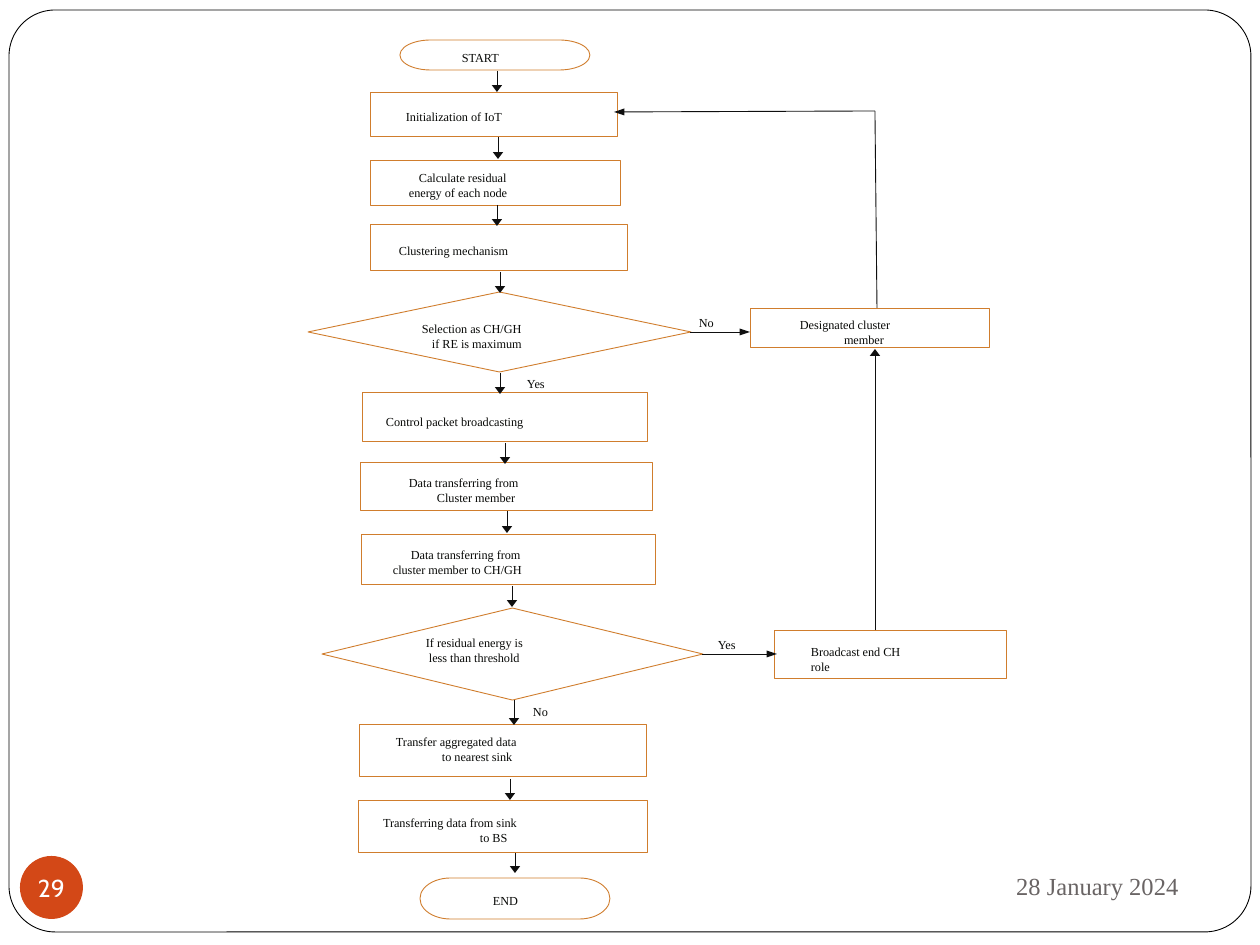
from lxml.etree import SubElement
from pptx import Presentation
from pptx.dml.color import RGBColor
from pptx.enum.shapes import MSO_CONNECTOR, MSO_SHAPE
from pptx.enum.text import MSO_ANCHOR, PP_ALIGN
from pptx.oxml.ns import qn
from pptx.util import Pt

PX = 914400 / 126
ROW = 15
SERIF = "Times New Roman"
HUES = {"page": "FFFFFF", "frame": "000000", "edge": "D07D2D", "link": "0F0F0F",
        "ink": "080907", "badge": "D34817", "date": "696464"}

PILL = MSO_SHAPE.FLOWCHART_TERMINATOR
RECT = MSO_SHAPE.RECTANGLE
GEM = MSO_SHAPE.DIAMOND

MAIN = [
    (PILL, (92, 0, 190, 30), 9, [(62, "START")]),
    (RECT, (62, 52, 247, 44), 16, [(36, "Initialization of IoT")]),
    (RECT, (62, 120, 251, 46), 9,
     [(49, "Calculate residual"), (39, "energy of each node")]),
    (RECT, (62, 184, 257, 46), 18, [(29, "Clustering mechanism")]),
    (GEM, (0, 252, 383, 80), 28,
     [(114, "Selection as CH/GH"), (124, "if RE is maximum")]),
    (RECT, (54, 353, 286, 49), 20, [(24, "Control packet broadcasting")]),
    (RECT, (53, 423, 292, 48), 11,
     [(48, "Data transferring from"), (76, "Cluster member")]),
    (RECT, (53, 494, 295, 51), 12,
     [(50, "Data transferring from"), (32, "cluster member to CH/GH")]),
    (GEM, (14, 568, 381, 92), 26,
     [(104, "If residual energy is"), (107, "less than threshold")]),
    (RECT, (51, 684, 288, 53), 9,
     [(37, "Transfer aggregated data"), (83, "to nearest sink")]),
    (RECT, (50, 760, 290, 53), 14,
     [(25, "Transferring data from sink"), (122, "to BS")]),
    (PILL, (112, 838, 190, 41), 14, [(73, "END")]),
]
DROPS = [(189, 31, 52), (190, 97, 119), (189, 165, 186), (192, 232, 253),
         (192, 333, 354), (197, 403, 424), (199, 471, 493), (204, 546, 567),
         (206, 660, 685), (202, 739, 760), (207, 813, 833)]

SIDE = [
    (RECT, (136, 197, 240, 40), 8, [(50, "Designated cluster"), (94, "member")]),
    (RECT, (160, 519, 232, 49), 13, [(37, "Broadcast end CH"), (37, "role")]),
]
TURNS = [((76, 221, 136, 221), True), ((88, 543, 163, 543), True),
         ((261, 519, 261, 238), True), ((263, 197, 261, 0), False),
         ((261, 0, 0, 1), True)]


def emu(*sizes):
    return [round(size * PX) for size in sizes]


def hue(name):
    return RGBColor.from_string(HUES[name])


def style(frame, size, face, tint):
    for run in frame.paragraphs[0].runs:
        run.font.size = Pt(size)
        run.font.name = face
        run.font.color.rgb = hue(tint)


def strip(frame):
    frame.margin_left = frame.margin_right = 0
    frame.margin_top = frame.margin_bottom = 0


def shape(slide, kind, box, fill=None, edge=None):
    item = slide.shapes.add_shape(kind, *emu(*box))
    item.shadow.inherit = False
    if fill:
        item.fill.solid()
        item.fill.fore_color.rgb = hue(fill)
    else:
        item.fill.background()
    if edge:
        item.line.color.rgb = hue(edge)
        item.line.width = Pt(0.5)
    else:
        item.line.fill.background()
    return item


def label(slide, left, top, text):
    item = slide.shapes.add_textbox(*emu(left, top, 12 * len(text), 16))
    frame = item.text_frame
    frame.word_wrap = True
    strip(frame)
    frame.text = text
    para = frame.paragraphs[0]
    para.line_spacing = 1.07
    para.space_after = Pt(8)
    style(frame, 7, SERIF, "ink")


def link(slide, left, top, ends, head=True):
    x1, y1, x2, y2 = ends
    item = slide.shapes.add_connector(
        MSO_CONNECTOR.STRAIGHT, *emu(left + x1, top + y1, left + x2, top + y2))
    item.line.color.rgb = hue("link")
    item.line.width = Pt(0.5)
    props = item._element.spPr
    if head:
        flat = abs(x2 - x1) > abs(y2 - y1)
        SubElement(props.find(qn("a:ln")), qn("a:tailEnd"), type="triangle",
                   w="sm" if flat else "med", len="med" if flat else "sm")
    SubElement(props, qn("a:effectLst"))


def steps(slide, left, top, items):
    for kind, (x, y, wide, high), drop, lines in items:
        shape(slide, kind, (left + x, top + y, wide, high), edge="edge")
        for row, (inset, text) in enumerate(lines):
            label(slide, left + x + inset, top + y + drop + row * ROW, text)


def main_flow(slide, left, top):
    steps(slide, left, top, MAIN)
    for x, start, end in DROPS:
        link(slide, left, top, (x, start, x, end))
    label(slide, left + 219, top + 335, "Yes")
    label(slide, left + 225, top + 663, "No")


def side_flow(slide, left, top):
    steps(slide, left, top, SIDE)
    for ends, head in TURNS:
        link(slide, left, top, ends, head)
    label(slide, left + 85, top + 203, "No")
    label(slide, left + 104, top + 525, "Yes")


def border(slide, box):
    item = shape(slide, MSO_SHAPE.ROUNDED_RECTANGLE, box, "page", "frame")
    item.adjustments[0] = 0.05


def footer(slide, left, top):
    date = slide.shapes.add_textbox(*emu(left + 830, top, 341, 66))
    frame = date.text_frame
    frame.word_wrap = True
    frame.vertical_anchor = MSO_ANCHOR.MIDDLE
    frame.text = "28 January 2024"
    frame.paragraphs[0].alignment = PP_ALIGN.RIGHT
    style(frame, 14, SERIF, "date")

    badge = shape(slide, MSO_SHAPE.OVAL, (left, top + 3, 63, 63), "badge")
    frame = badge.text_frame
    frame.word_wrap = False
    strip(frame)
    frame.vertical_anchor = MSO_ANCHOR.MIDDLE
    frame.text = "29"
    frame.paragraphs[0].alignment = PP_ALIGN.CENTER
    style(frame, 14, "Cabin", "page")


def main():
    deck = Presentation()
    deck.slide_width, deck.slide_height = emu(1260, 945)
    slide = deck.slides.add_slide(deck.slide_layouts[6])
    border(slide, (9, 10, 1242, 922))
    footer(slide, 20, 853)
    main_flow(slide, 308, 40)
    side_flow(slide, 614, 111)
    deck.save("out.pptx")


if __name__ == "__main__":
    main()
